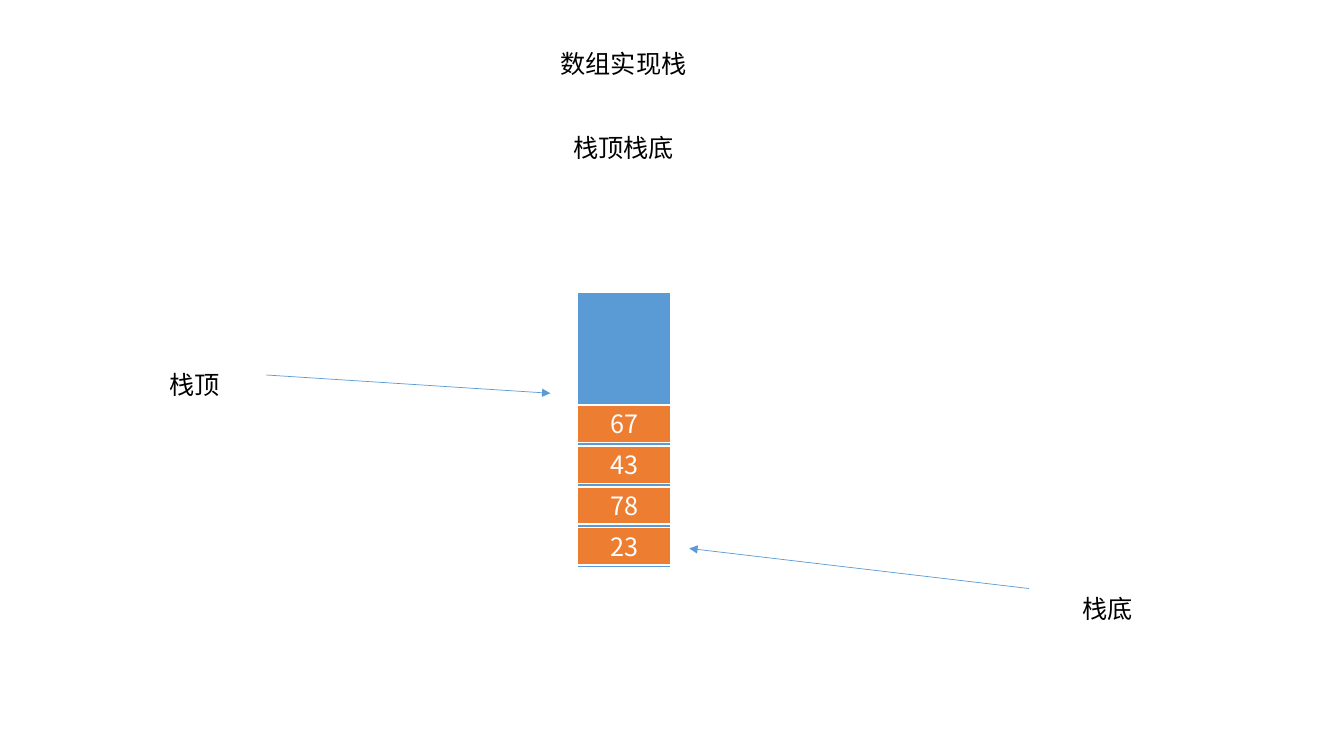
from dataclasses import dataclass

from lxml.etree import SubElement
from pptx import Presentation
from pptx.dml.color import RGBColor
from pptx.enum.shapes import MSO_CONNECTOR, MSO_SHAPE
from pptx.enum.text import MSO_ANCHOR, MSO_AUTO_SIZE, PP_ALIGN
from pptx.oxml.ns import qn
from pptx.shapes.autoshape import Shape
from pptx.slide import Slide
from pptx.util import Cm, Pt

FONT = "Noto Sans CJK SC"
BLUE, ORANGE, WHITE, BLACK = "5B9BD5", "ED7D31", "FFFFFF", "000000"


@dataclass
class Box:
    left: float
    top: float
    width: float
    height: float


@dataclass
class Label:
    text: str
    box: Box


@dataclass
class Arrow:
    x1: float
    y1: float
    x2: float
    y2: float


TITLE = Label("数组实现栈", Box(13.87, 1.09, 3.71, 1.02))
LABELS = [
    Label("栈顶栈底", Box(14.2, 3.2, 3.07, 1.02)),
    Label("栈顶", Box(4.01, 9.17, 1.8, 1.02)),
    Label("栈底", Box(27.03, 14.83, 1.8, 1.02)),
]
ARROWS = [Arrow(6.71, 9.45, 13.87, 9.91), Arrow(25.93, 14.83, 17.37, 13.82)]
STACK = Box(14.55, 7.37, 2.36, 6.93)
ITEMS = ["67", "43", "78", "23"]
FIRST, STEP, HIGH = 10.21, 1.03, 0.94


def color(code: str) -> RGBColor:
    return RGBColor.from_string(code)


def place(shape: Shape, box: Box) -> None:
    shape.left, shape.top = Cm(box.left), Cm(box.top)
    shape.width, shape.height = Cm(box.width), Cm(box.height)


def write(shape: Shape, text: str, tint: str, align: PP_ALIGN,
          anchor: MSO_ANCHOR) -> None:
    frame = shape.text_frame
    frame.vertical_anchor = anchor
    para = frame.paragraphs[0]
    para.alignment = align
    run = para.add_run()
    run.text = text
    run.font.size = Pt(18)
    run.font.name = FONT
    run.font.color.rgb = color(tint)
    # East Asian typeface
    SubElement(run.font._element, qn("a:ea"), typeface=FONT)


def fit(shape: Shape, label: Label) -> None:
    place(shape, label.box)
    write(shape, label.text, BLACK, PP_ALIGN.LEFT, MSO_ANCHOR.TOP)
    shape.text_frame.word_wrap = False
    shape.text_frame.auto_size = MSO_AUTO_SIZE.SHAPE_TO_FIT_TEXT


def block(slide: Slide, box: Box, fill: str) -> Shape:
    shape = slide.shapes.add_shape(
        MSO_SHAPE.RECTANGLE, Cm(box.left), Cm(box.top),
        Cm(box.width), Cm(box.height))
    shape.shadow.inherit = False
    shape.fill.solid()
    shape.fill.fore_color.rgb = color(fill)
    shape.line.color.rgb = color(WHITE)
    shape.line.width = Pt(1)
    return shape


def point(slide: Slide, arrow: Arrow) -> None:
    link = slide.shapes.add_connector(
        MSO_CONNECTOR.STRAIGHT, Cm(arrow.x1), Cm(arrow.y1),
        Cm(arrow.x2), Cm(arrow.y2))
    link.line.color.rgb = color(BLUE)
    link.line.width = Pt(0.5)
    SubElement(link.line._get_or_add_ln(), qn("a:tailEnd"), type="triangle")
    SubElement(link._element.spPr, qn("a:effectLst"))


def main() -> None:
    deck = Presentation()
    deck.slide_width, deck.slide_height = Cm(33.87), Cm(19.05)
    slide = deck.slides.add_slide(deck.slide_layouts[5])

    # Title
    fit(slide.shapes.title, TITLE)

    # Stack and its items, from top to bottom
    block(slide, STACK, BLUE)
    for row, item in enumerate(ITEMS):
        box = Box(STACK.left, FIRST + row * STEP, STACK.width, HIGH)
        cell = block(slide, box, ORANGE)
        write(cell, item, WHITE, PP_ALIGN.CENTER, MSO_ANCHOR.MIDDLE)

    # Arrows to the top and bottom of the stack
    for arrow in ARROWS:
        point(slide, arrow)

    # Labels
    for label in LABELS:
        fit(slide.shapes.add_textbox(0, 0, 0, 0), label)

    deck.save("out.pptx")


if __name__ == "__main__":
    main()
